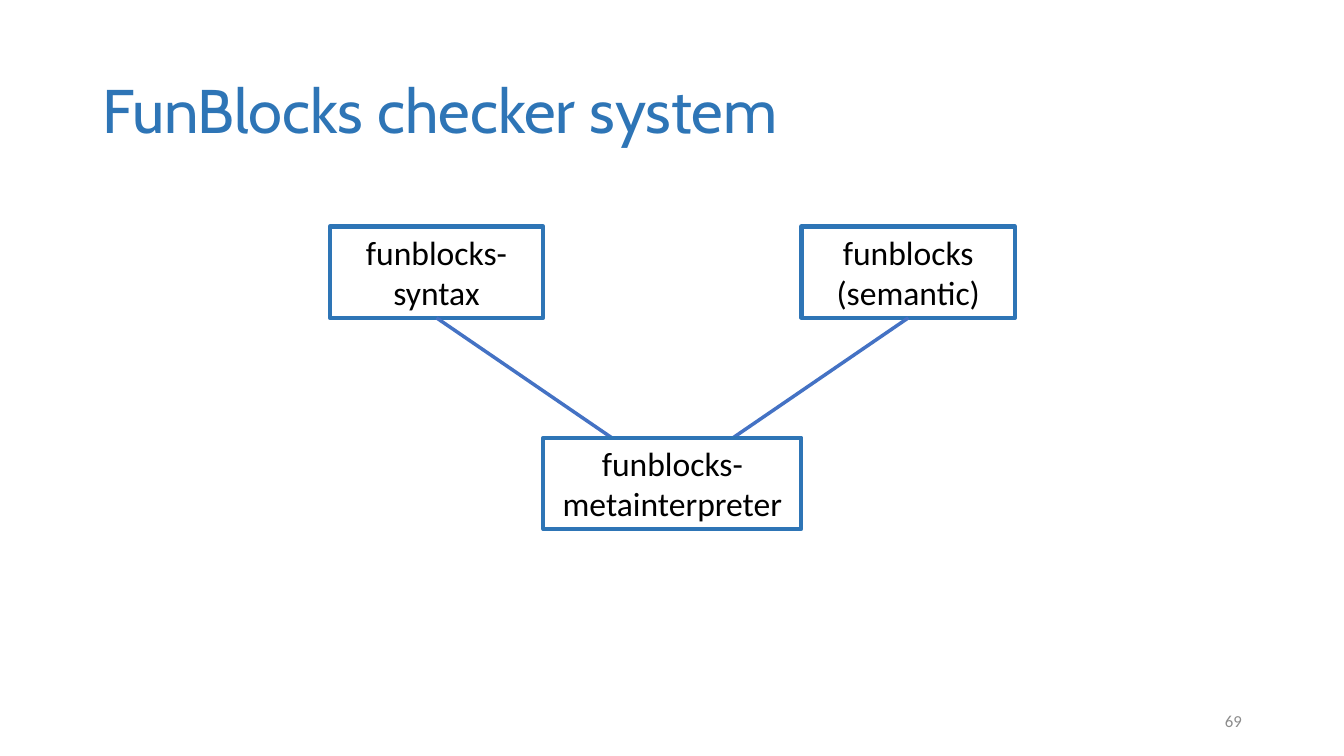
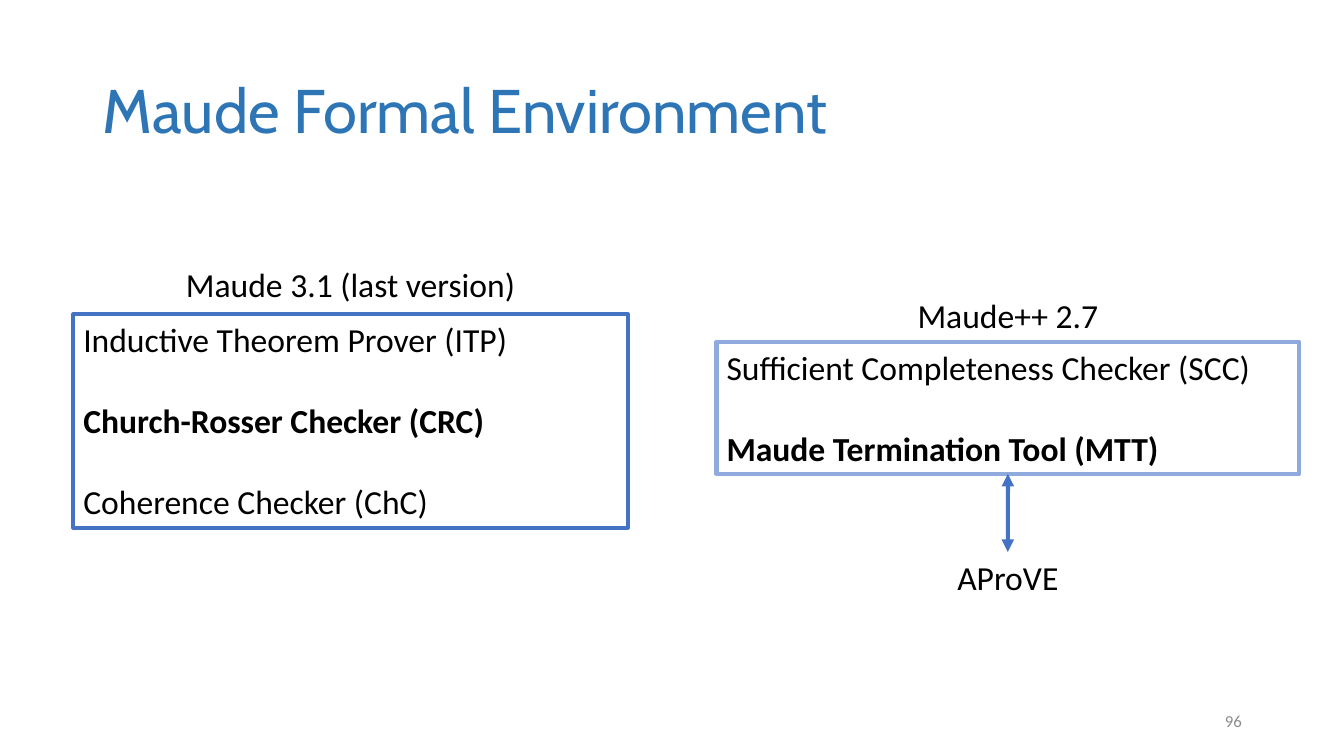
import lxml.etree
import pptx
import pptx.util
import pptx.dml.color
import pptx.enum.shapes
import pptx.enum.text
import pptx.oxml.ns

Cm = pptx.util.Cm
Pt = pptx.util.Pt
PP_ALIGN = pptx.enum.text.PP_ALIGN
ANCHOR = pptx.enum.text.MSO_ANCHOR
qn = pptx.oxml.ns.qn

TITLE_BLUE = "2E75B6"
LINE_BLUE = "4472C4"
PALE_BLUE = "8FAADC"
BLACK = "000000"
GREY = "8C8C8C"
TITLE_FONT = "Cabin"
BODY_FONT = "Calibri"
TEXT_SIZE = 24
LINE_GAP = 29
TITLE_BOX = (2.33, 1.02, 29.21, 3.68)
NUMBER_BOX = (23.93, 17.65, 7.62, 1.02)
LABEL_W, LABEL_H = 12.78, 1.27


def color(value):
    return pptx.dml.color.RGBColor.from_string(value)


def place(sp, box):
    sp.left, sp.top, sp.width, sp.height = [Cm(v) for v in box]


def write(sp, lines, align, size=TEXT_SIZE, font=BODY_FONT, fill=BLACK,
          anchor=ANCHOR.TOP, gap=0, bold=()):
    tf = sp.text_frame
    tf.word_wrap = True
    tf.auto_size = pptx.enum.text.MSO_AUTO_SIZE.NONE
    tf.vertical_anchor = anchor
    for i, line in enumerate(lines):
        p = tf.add_paragraph() if i else tf.paragraphs[0]
        p.alignment = align
        p.space_before = Pt(gap if i else 0)
        r = p.add_run()
        r.text = line
        r.font.name = font
        r.font.size = Pt(size)
        r.font.bold = line in bold
        r.font.color.rgb = color(fill)
    return tf


def add_label(s, box, text, **style):
    sp = s.shapes.add_textbox(*[Cm(v) for v in box])
    write(sp, [text], **style)
    return sp


def add_box(s, box, lines, line_color, align, **style):
    sp = s.shapes.add_shape(pptx.enum.shapes.MSO_SHAPE.RECTANGLE, *[Cm(v) for v in box])
    sp.shadow.inherit = False
    sp.fill.background()
    sp.line.color.rgb = color(line_color)
    sp.line.width = Pt(3)
    write(sp, lines, align, **style)
    return sp


def add_line(s, start, end, width, arrows=False):
    points = [Cm(v) for v in start + end]
    cx = s.shapes.add_connector(pptx.enum.shapes.MSO_CONNECTOR.STRAIGHT, *points)
    cx.line.color.rgb = color(LINE_BLUE)
    cx.line.width = Pt(width)
    props = cx.element.spPr
    if arrows:
        for tag in ("a:headEnd", "a:tailEnd"):
            lxml.etree.SubElement(props.find(qn("a:ln")), qn(tag), type="triangle")
    lxml.etree.SubElement(props, qn("a:effectLst"))
    return cx


def add_slide(prs, title, number):
    s = prs.slides.add_slide(prs.slide_layouts[5])
    place(s.shapes.title, TITLE_BOX)
    tf = write(s.shapes.title, [title], PP_ALIGN.LEFT, size=44, font=TITLE_FONT,
               fill=TITLE_BLUE, anchor=ANCHOR.MIDDLE)
    tf.paragraphs[0].line_spacing = 0.9
    add_label(s, NUMBER_BOX, number, align=PP_ALIGN.RIGHT, size=12, fill=GREY,
              anchor=ANCHOR.MIDDLE)
    return s


def add_checker_tree(s, box):
    left, top, width, height = box
    node_w, node_h, base_w, join = 5.38, 2.3, 6.5, 1.53
    middle = left + width / 2
    base_top = top + height - node_h
    branches = [
        (left, ["funblocks-syntax"], -1),
        (left + width - node_w, ["funblocks", "(semantic)"], 1),
    ]
    for x, lines, side in branches:
        node = add_box(s, (x, top, node_w, node_h), lines, TITLE_BLUE, PP_ALIGN.CENTER)
        cx = add_line(s, (x + node_w / 2, top + node_h), (middle + side * join, base_top), 2.5)
        cx.begin_connect(node, 2)
    add_box(s, (middle - base_w / 2, base_top, base_w, node_h),
            ["funblocks-metainterpreter"], TITLE_BLUE, PP_ALIGN.CENTER)


def add_tool_panel(s, box, caption, caption_gap, tools, main_tool, line_color, backend=None):
    left, top, width, height = box
    label_left = left + (width - LABEL_W) / 2
    panel = add_box(s, box, tools, line_color, PP_ALIGN.LEFT, gap=LINE_GAP, bold=(main_tool,))
    add_label(s, (label_left, top - caption_gap - LABEL_H, LABEL_W, LABEL_H), caption,
              align=PP_ALIGN.CENTER)
    if backend:
        middle, bottom = left + width / 2, top + height
        backend_top = bottom + 1.97
        label = add_label(s, (label_left, backend_top, LABEL_W, LABEL_H), backend,
                          align=PP_ALIGN.CENTER)
        cx = add_line(s, (middle, bottom), (middle, backend_top), 3, arrows=True)
        cx.begin_connect(panel, 2)
        cx.end_connect(label, 0)


def main():
    prs = pptx.Presentation()
    prs.slide_width = Cm(33.87)
    prs.slide_height = Cm(19.05)

    s = add_slide(prs, "FunBlocks checker system", "69")
    add_checker_tree(s, (8.31, 5.71, 17.27, 7.62))

    s = add_slide(prs, "Maude Formal Environment", "96")
    add_tool_panel(
        s, (1.85, 7.92, 13.97, 5.38), "Maude 3.1 (last version)", 0.12,
        ["Inductive Theorem Prover (ITP)", "Church-Rosser Checker (CRC)",
         "Coherence Checker (ChC)"],
        "Church-Rosser Checker (CRC)", LINE_BLUE)
    add_tool_panel(
        s, (18.06, 8.61, 14.68, 3.33), "Maude++ 2.7", 0.03,
        ["Sufficient Completeness Checker (SCC)", "Maude Termination Tool (MTT)"],
        "Maude Termination Tool (MTT)", PALE_BLUE, backend="AProVE")

    prs.save("out.pptx")


if __name__ == "__main__":
    main()
